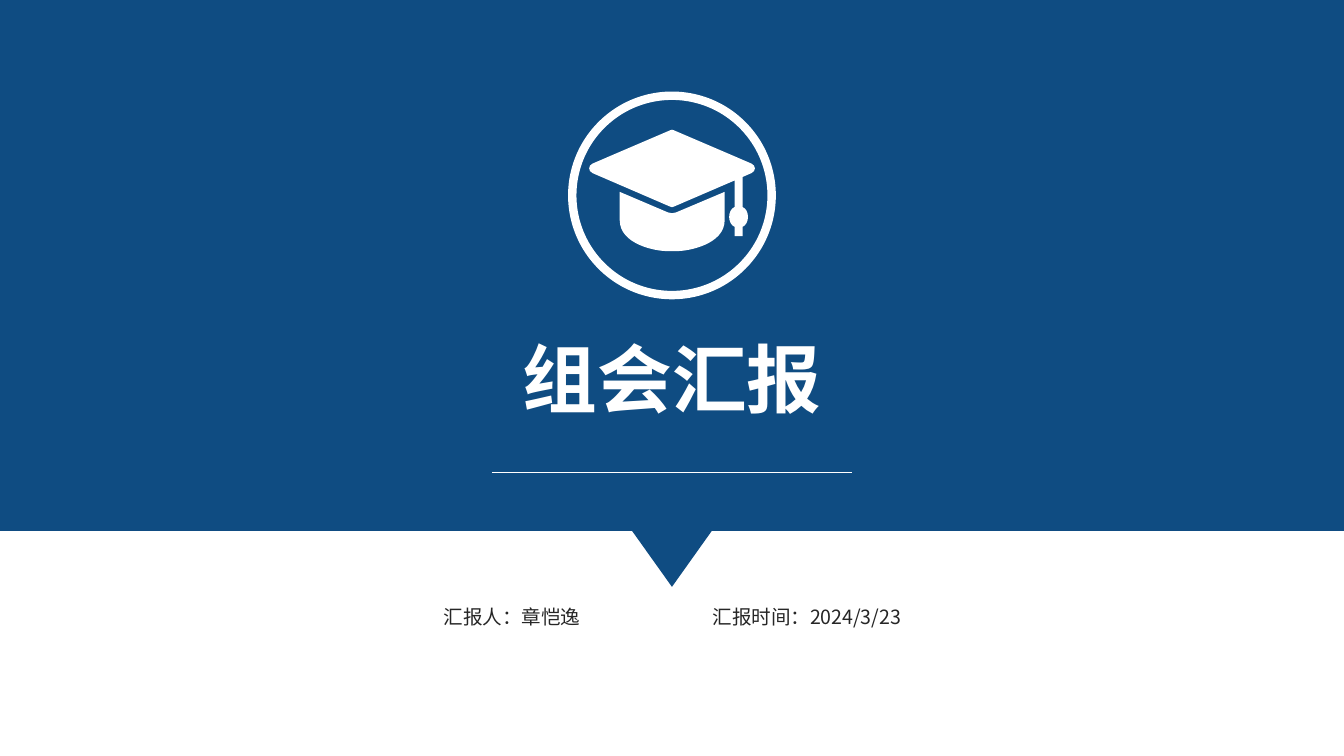
from dataclasses import dataclass

from lxml import etree
from pptx import Presentation
from pptx.dml.color import RGBColor
from pptx.enum.shapes import MSO_CONNECTOR, MSO_SHAPE
from pptx.enum.text import MSO_AUTO_SIZE, PP_ALIGN
from pptx.oxml.ns import qn
from pptx.util import Pt

STRAIGHT = MSO_CONNECTOR.STRAIGHT
OVAL = MSO_SHAPE.OVAL
CENTER = PP_ALIGN.CENTER
GROW = MSO_AUTO_SIZE.SHAPE_TO_FIT_TEXT

COLORS = {"blue": "0F4C82", "white": "FFFFFF", "ink": "262626"}
WIDTH, HEIGHT = 720, 405
MIDDLE = WIDTH / 2

# An outline step is (x, y) for a line, or (x1, y1, x2, y2, x, y) for a curve.
Outline = list[tuple[float, ...]]

BAND: Outline = [
    (0, 0), (WIDTH, 0), (WIDTH, 284.4), (MIDDLE + 21.4, 284.4),
    (MIDDLE, 314.4), (MIDDLE - 21.4, 284.4), (0, 284.4),
]
BOARD_AND_TASSEL: Outline = [
    (402.5, 87.6), (361, 69.8), (360, 69.5), (359, 69.8),
    (317.5, 87.6), (316.2, 88.2, 315.6, 89.2, 315.6, 90.2),
    (315.6, 91.2, 316.2, 92.2, 317.5, 92.8),
    (359, 110.7), (360, 111), (361, 110.7),
    (393.5, 96.7), (393.5, 110.9),
    (391.8, 111.6, 390.6, 113.7, 390.6, 116.2),
    (390.6, 118.7, 391.8, 120.8, 393.5, 121.5),
    (393.5, 126.5), (397.8, 126.5), (397.8, 121.5),
    (399.5, 120.8, 400.7, 118.7, 400.7, 116.2),
    (400.7, 113.7, 399.5, 111.6, 397.8, 110.9),
    (397.8, 94.8), (402.5, 92.8),
    (403.8, 92.2, 404.4, 91.2, 404.4, 90.2),
    (404.4, 89.2, 403.8, 88.2, 402.5, 87.6),
]
SKULLCAP: Outline = [
    (332, 102.8), (332, 118), (332, 131, 351.4, 134.5, 357, 134.5),
    (363, 134.5), (368.6, 134.5, 388.2, 131, 388.2, 118), (388.2, 102.8),
    (362.2, 113.8), (360.8, 114.4, 359.2, 114.4, 357.8, 113.8),
]


@dataclass
class Label:
    text: str
    left: float
    top: float
    width: float
    height: float
    size: float
    font: str
    color: str
    bold: bool = False
    wrap: bool = True
    spacing: float = 1.0


TITLE = Label("组会汇报", 272.4, 175, 175.2, 55.4, 40, "Open Sans", "white",
              bold=True, wrap=False)
DETAILS = Label("汇报人：章恺逸\t\t汇报时间：2024/3/23", 211.6, 314.3, 297.4, 26,
                10.5, "Noto Sans CJK SC", "ink", spacing=1.5)


def rgb(name: str) -> RGBColor:
    return RGBColor.from_string(COLORS[name])


def bend_curves(shape, steps: Outline) -> None:
    """Turn the lines that stand for curves into cubic Bézier segments."""
    nodes = list(shape._element.iter(qn("a:moveTo"), qn("a:lnTo")))
    for node, step in zip(nodes, steps):
        if len(step) == 2:
            continue
        node.tag = qn("a:cubicBezTo")
        for index, (x, y) in enumerate((step[:2], step[2:4])):
            point = etree.Element(qn("a:pt"))
            point.set("x", str(Pt(x) - shape.left))
            point.set("y", str(Pt(y) - shape.top))
            node.insert(index, point)


def draw_outlines(shapes, outlines: list[Outline], color: str) -> None:
    """Draw all outlines as one filled freeform."""
    builder = None
    for outline in outlines:
        start, *ends = [(Pt(step[-2]), Pt(step[-1])) for step in outline]
        if builder is None:
            builder = shapes.build_freeform(*start)
        else:
            builder.move_to(*start)
        builder.add_line_segments(ends, close=True)
    shape = builder.convert_to_shape()
    bend_curves(shape, [step for outline in outlines for step in outline])
    shape.shadow.inherit = False
    shape.fill.solid()
    shape.fill.fore_color.rgb = rgb(color)
    shape.line.fill.background()


def draw_ring(shapes, top: float, diameter: float) -> None:
    ring = shapes.add_shape(
        OVAL, Pt(MIDDLE - diameter / 2), Pt(top), Pt(diameter), Pt(diameter))
    ring.shadow.inherit = False
    ring.fill.solid()
    ring.fill.fore_color.rgb = rgb("blue")
    ring.line.color.rgb = rgb("white")
    ring.line.width = Pt(4.5)


def draw_rule(shapes, y: float, length: float) -> None:
    rule = shapes.add_connector(
        STRAIGHT, Pt(MIDDLE - length / 2), Pt(y), Pt(MIDDLE + length / 2), Pt(y))
    rule.line.color.rgb = rgb("white")
    rule.line.width = Pt(0.5)
    etree.SubElement(rule._element.spPr, qn("a:effectLst"))


def draw_label(shapes, label: Label) -> None:
    box = shapes.add_textbox(
        Pt(label.left), Pt(label.top), Pt(label.width), Pt(label.height))
    frame = box.text_frame
    frame.word_wrap = label.wrap
    frame.auto_size = GROW
    para = frame.paragraphs[0]
    para.alignment = CENTER
    para.line_spacing = label.spacing
    span = para.add_run()
    span.text = label.text
    font = span.font
    font.name = label.font
    font.size = Pt(label.size)
    font.bold = label.bold
    font.color.rgb = rgb(label.color)
    east_asian = etree.SubElement(span._r.get_or_add_rPr(), qn("a:ea"))
    east_asian.set("typeface", label.font)


def main() -> None:
    deck = Presentation()
    deck.slide_width, deck.slide_height = Pt(WIDTH), Pt(HEIGHT)
    page = deck.slides.add_slide(deck.slide_layouts[6])
    draw_outlines(page.shapes, [BAND], "blue")
    draw_label(page.shapes, TITLE)
    draw_rule(page.shapes, 253, 193)
    emblem = page.shapes.add_group_shape()
    draw_ring(emblem.shapes, 51.3, 106.8)
    draw_outlines(emblem.shapes, [BOARD_AND_TASSEL, SKULLCAP], "white")
    draw_label(page.shapes, DETAILS)
    deck.save("out.pptx")


if __name__ == "__main__":
    main()
